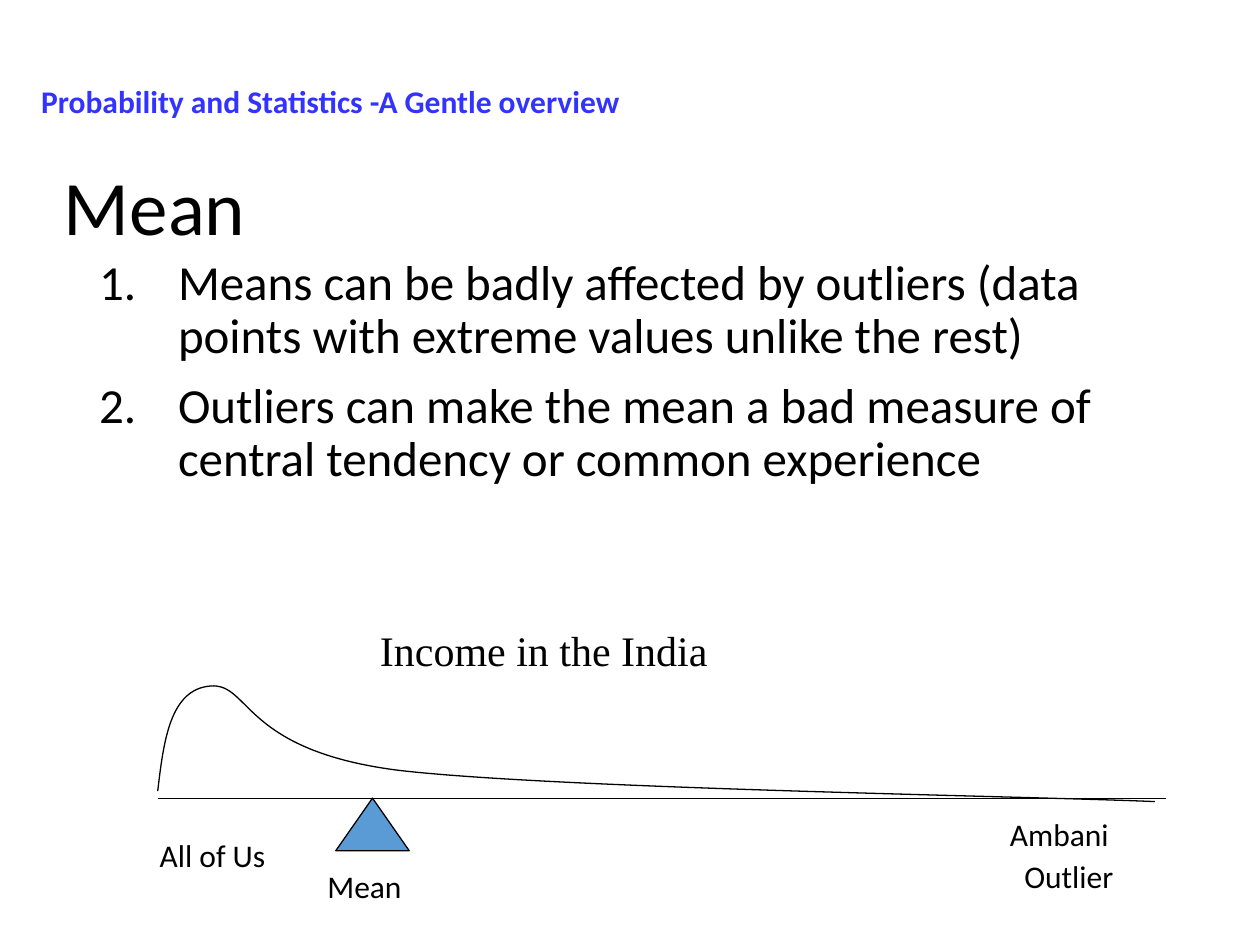
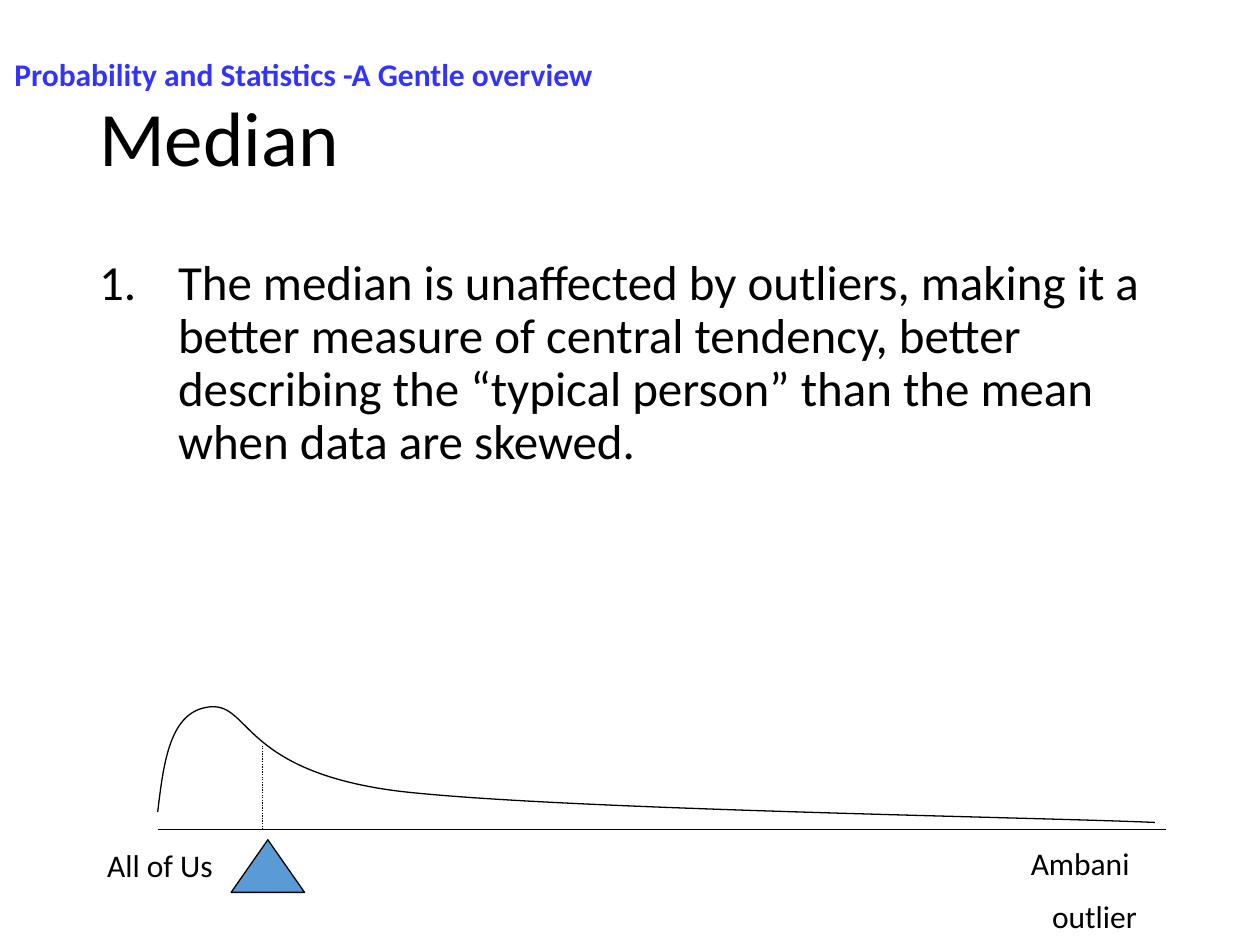
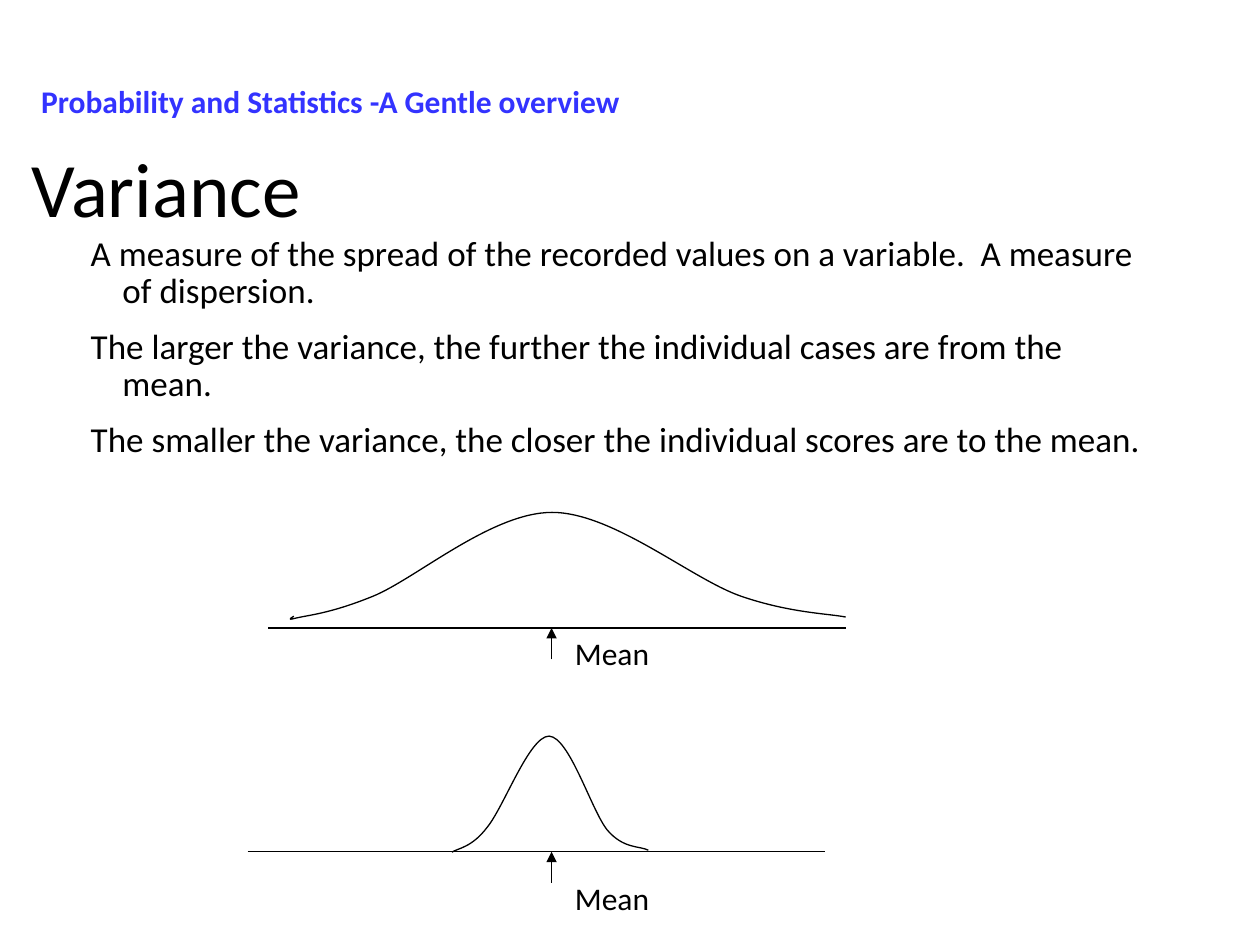
from lxml import etree
from pptx import Presentation, util as u
from pptx.dml.color import RGBColor
from pptx.enum import dml, shapes, text
from pptx.oxml import ns

BLACK, BLUE, ACCENT = "000000", "5B9BD5", "3333FF"
HEADER = "Probability and Statistics -A Gentle overview"
LINE_WIDTH = u.Pt(0.75)
FIT = text.MSO_AUTO_SIZE.SHAPE_TO_FIT_TEXT

HEADER_FRAME = {"word_wrap": False, "auto_size": FIT}
TITLE_FRAME = {"word_wrap": True, "vertical_anchor": text.MSO_ANCHOR.MIDDLE}
BODY_FRAME = {"word_wrap": True}
LABEL_FRAME = {"word_wrap": True, "auto_size": FIT}

HEADER_FONT = {"size": u.Pt(18), "name": "Calibri", "bold": True}
TITLE_FONT = {"size": u.Pt(44), "name": "Calibri"}
LABEL_FONT = {"size": u.Pt(18), "name": "Calibri"}
CAPTION_FONT = {"size": u.Pt(24), "name": "Times New Roman"}

TITLE_SIZE = (21.9, 3.68)
BODY_SIZE = (21.9, 12.09)
TRIANGLE_SIZE = (1.48, 1.06)
LABEL_HEIGHT = 1.03

INCOME_CURVE = [
    (3.18, 15.95), (3.3, 14.93), (3.43, 13.9), (4.24, 13.83),
    (5.05, 13.76), (4.87, 15.13), (8.04, 15.53),
    (11.22, 15.9), (20.74, 16.05), (23.28, 16.16),
]
WIDE_CURVE = [
    (5.92, 12.42), (5.95, 12.42), (5.71, 12.53), (5.97, 12.46),
    (6.22, 12.4), (6.66, 12.37), (7.52, 12.02),
    (8.38, 11.67), (9.91, 10.33), (11.13, 10.33),
    (12.36, 10.33), (13.95, 11.68), (14.94, 12.02),
    (15.93, 12.36), (16.71, 12.37), (17.05, 12.44),
]
NARROW_CURVE = [
    (9.11, 17.18), (9.23, 17.1), (9.51, 17.09), (9.82, 16.68),
    (10.16, 16.27), (10.67, 14.84), (11.07, 14.84),
    (11.48, 14.86), (11.92, 16.33), (12.24, 16.73),
    (12.57, 17.12), (12.9, 17.05), (13.07, 17.14),
]

SLIDES = [
    {
        "header": (0.58, 1.52),
        "title": ("Mean", 1.04, 2.41),
        "body": (1.75, 5.08, 28, 1.59, True),
        "points": [
            "Means can be badly affected by outliers (data points with extreme values unlike the rest)",
            "Outliers can make the mean a bad measure of central tendency or common experience",
        ],
        "curves": [(INCOME_CURVE, 0)],
        "lines": [(3.18, 16.09, 23.5, 16.09, None)],
        "triangles": [(6.77, 16.09)],
        "labels": [
            (["All of Us"], 2.97, 16.72, 4.45, [0], LABEL_FONT),
            (["Ambani"], 20.11, 16.3, 3.81, [0], LABEL_FONT),
            (["Mean"], 6.35, 17.36, 4.45, [0], LABEL_FONT),
            (["Outlier"], 20.11, 17.15, 4.45, [0.29], LABEL_FONT),
            (["Income in the India"], 7.41, 12.47, 10.16, [0], CAPTION_FONT),
        ],
    },
    {
        "header": (0.04, 0.98),
        "title": ("Median", 1.75, 1.02),
        "body": (1.75, 5.08, 28, 1.59, True),
        "points": [
            "The median is unaffected by outliers, making it a better measure of central tendency, "
            "better describing the “typical person” than the mean when data are skewed.",
        ],
        "curves": [(INCOME_CURVE, 0.42)],
        "lines": [
            (3.18, 16.72, 23.5, 16.72, None),
            (5.29, 16.72, 5.29, 15.03, "dotted"),
        ],
        "triangles": [(4.66, 16.93)],
        "labels": [
            (["All of Us"], 1.91, 16.93, 4.45, [0], LABEL_FONT),
            (["Ambani", "outlier"], 20.53, 16.89, 3.81, [0, 0.43], LABEL_FONT),
        ],
    },
    {
        "header": (0.58, 1.52),
        "title": ("Variance", 0.39, 2.04),
        "body": (1.58, 4.63, 20, 0.64, False),
        "points": [
            "A measure of the spread of the recorded values on a variable.  A measure of dispersion.",
            "The larger the variance, the further the individual cases are from the mean.",
            "The smaller the variance, the closer the individual scores are to the mean.",
        ],
        "curves": [(WIDE_CURVE, 0), (NARROW_CURVE, 0)],
        "lines": [
            (5.41, 12.66, 17.05, 12.66, None),
            (4.99, 17.17, 16.63, 17.17, None),
            (11.12, 13.29, 11.12, 12.66, "arrow"),
            (11.12, 17.8, 11.12, 17.17, "arrow"),
        ],
        "triangles": [],
        "labels": [
            (["Mean"], 11.34, 12.65, 3.81, [0], LABEL_FONT),
            (["Mean"], 11.34, 17.6, 3.81, [0], LABEL_FONT),
        ],
    },
]


def add_text(slide, box, lines, frame_format, font_format, color=BLACK,
             spacing=None, gap=8.5, margins=None, hanging=0, numbered=False):
    shape = slide.shapes.add_textbox(*map(u.Cm, box))
    frame = shape.text_frame
    for name, value in frame_format.items():
        setattr(frame, name, value)
    for index, line in enumerate(lines):
        paragraph = frame.add_paragraph() if index else frame.paragraphs[0]
        paragraph.text = line
        properties = paragraph._p.get_or_add_pPr()
        properties.set("marL", str(u.Cm(margins[index] if margins else hanging)))
        properties.set("indent", str(-u.Cm(hanging)))
        if numbered:
            etree.SubElement(properties, ns.qn("a:buFont"), typeface="+mj-lt")
            etree.SubElement(properties, ns.qn("a:buAutoNum"), type="arabicPeriod")
        if spacing:
            paragraph.line_spacing = spacing
        if index:
            paragraph.space_before = u.Pt(gap)
        for name, value in font_format.items():
            setattr(paragraph.font, name, value)
        paragraph.font.color.rgb = RGBColor.from_string(color)


def draw_outline(shape):
    shape.line.color.rgb = RGBColor.from_string(BLACK)
    shape.line.width = LINE_WIDTH


presentation = Presentation()
presentation.slide_width = u.Cm(25.4)
presentation.slide_height = u.Cm(19.05)

for content in SLIDES:
    slide = presentation.slides.add_slide(presentation.slide_layouts[6])

    title, left, top = content["title"]
    add_text(slide, (left, top, *TITLE_SIZE), [title], TITLE_FRAME, TITLE_FONT, spacing=0.9)

    left, top, size, hanging, numbered = content["body"]
    add_text(slide, (left, top, *BODY_SIZE), content["points"], BODY_FRAME,
             {"size": u.Pt(size), "name": "Calibri"},
             spacing=0.9, gap=10, hanging=hanging, numbered=numbered)

    for curve, drop in content["curves"]:
        points = [(u.Cm(x), u.Cm(y + drop)) for x, y in curve]
        builder = slide.shapes.build_freeform(*points[0])
        builder.add_line_segments(points[1:], close=False)
        shape = builder.convert_to_shape()
        outline = next(shape._element.iter(ns.qn("a:path")))
        segments = outline.findall(ns.qn("a:lnTo"))
        for start in range(0, len(segments), 3):
            bezier = etree.SubElement(outline, ns.qn("a:cubicBezTo"))
            for segment in segments[start:start + 3]:
                bezier.append(segment[0])
                outline.remove(segment)
        shape.shadow.inherit = False
        shape.fill.background()
        draw_outline(shape)

    for *ends, style in content["lines"]:
        connector = slide.shapes.add_connector(shapes.MSO_CONNECTOR.STRAIGHT, *map(u.Cm, ends))
        draw_outline(connector)
        if style == "dotted":
            connector.line.dash_style = dml.MSO_LINE.ROUND_DOT
        if style == "arrow":
            etree.SubElement(connector.line._get_or_add_ln(), ns.qn("a:tailEnd"), type="triangle")
        etree.SubElement(connector._element.spPr, ns.qn("a:effectLst"))

    for corner in content["triangles"]:
        shape = slide.shapes.add_shape(shapes.MSO_SHAPE.ISOSCELES_TRIANGLE,
                                       *map(u.Cm, corner + TRIANGLE_SIZE))
        shape.shadow.inherit = False
        shape.fill.solid()
        shape.fill.fore_color.rgb = RGBColor.from_string(BLUE)
        draw_outline(shape)

    for lines, left, top, width, margins, font_format in content["labels"]:
        add_text(slide, (left, top, width, LABEL_HEIGHT), lines, LABEL_FRAME, font_format,
                 margins=margins)

    add_text(slide, (*content["header"], 12.45, LABEL_HEIGHT), [HEADER], HEADER_FRAME,
             HEADER_FONT, color=ACCENT)

presentation.save("out.pptx")
